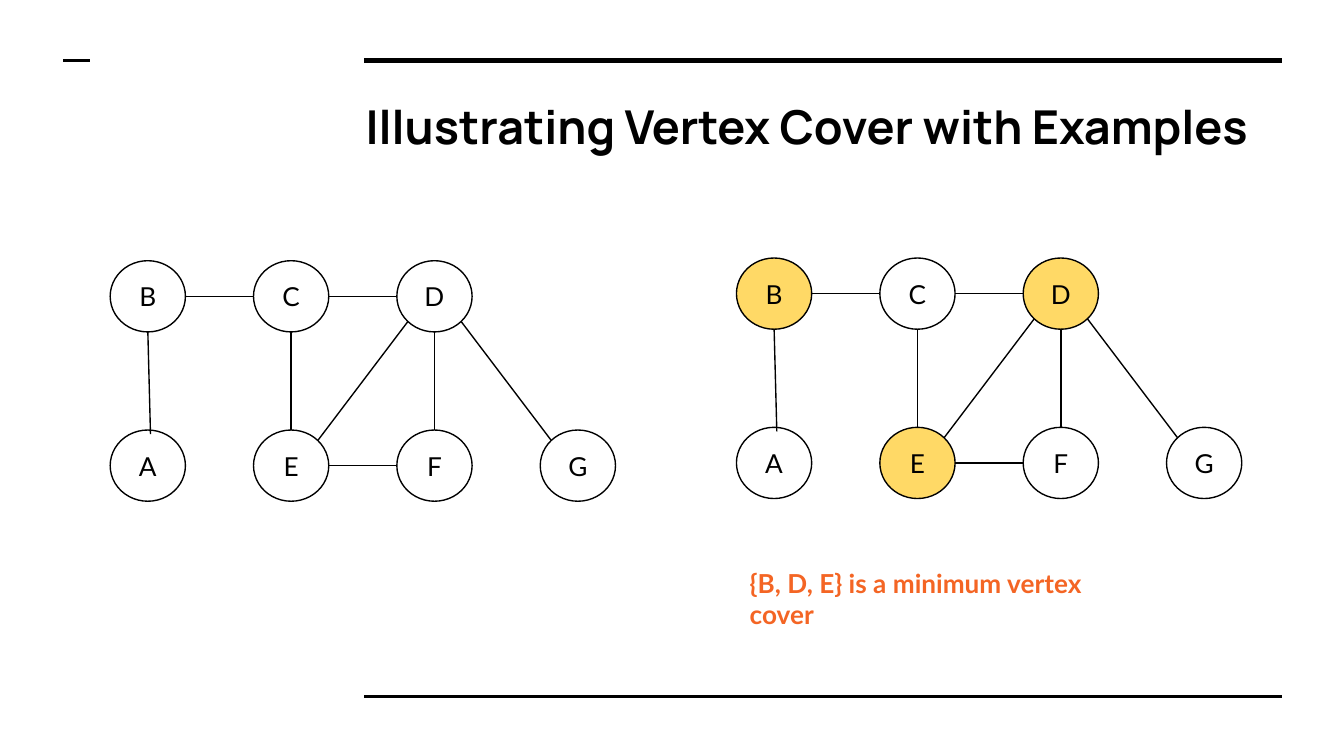
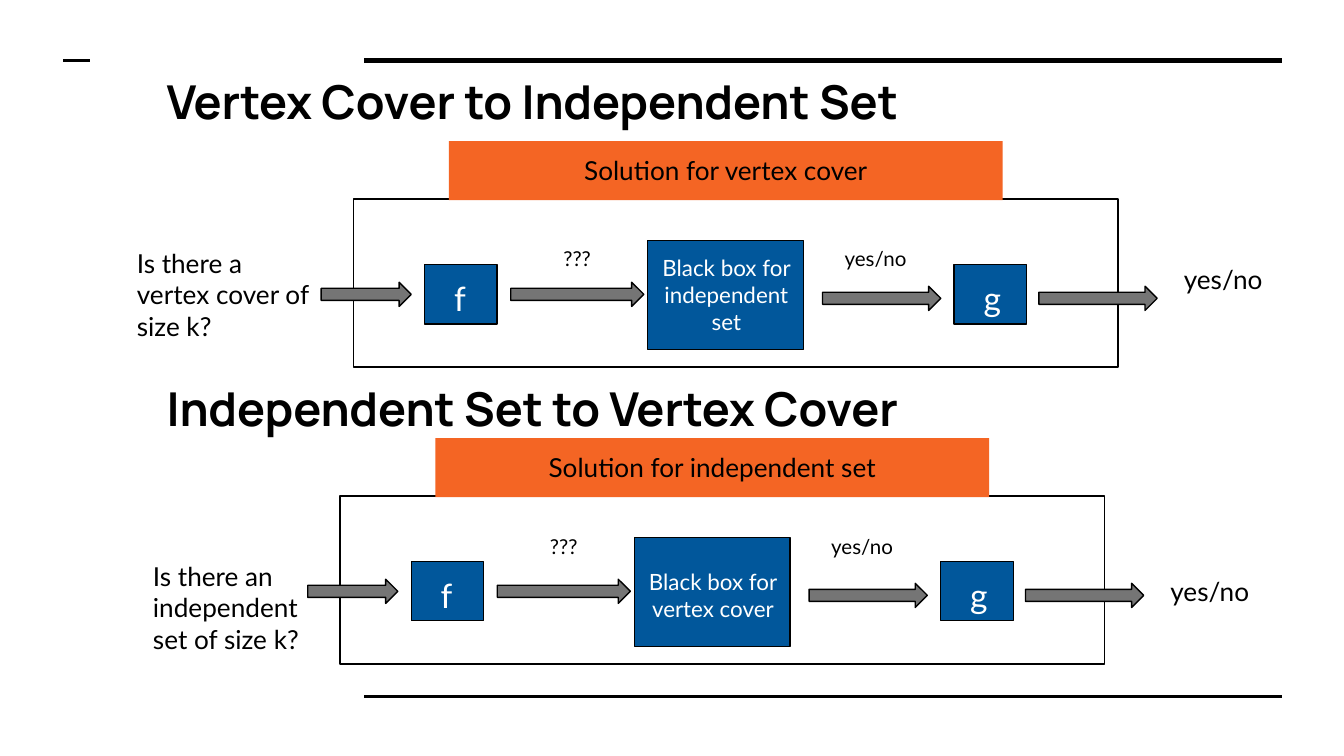
from lxml import etree
from pptx import Presentation
from pptx.dml.color import RGBColor
from pptx.enum.shapes import MSO_CONNECTOR, MSO_SHAPE
from pptx.enum.text import MSO_ANCHOR, MSO_AUTO_SIZE, PP_ALIGN
from pptx.oxml.ns import qn
from pptx.util import Inches, Pt

RECTANGLE = MSO_SHAPE.RECTANGLE
ELLIPSE = MSO_SHAPE.OVAL
ARROW = MSO_SHAPE.RIGHT_ARROW
STRAIGHT = MSO_CONNECTOR.STRAIGHT
LEFT, CENTER = PP_ALIGN.LEFT, PP_ALIGN.CENTER
TOP, MIDDLE = MSO_ANCHOR.TOP, MSO_ANCHOR.MIDDLE
FIXED, GROW = MSO_AUTO_SIZE.NONE, MSO_AUTO_SIZE.SHAPE_TO_FIT_TEXT

BLACK, WHITE = "000000", "FFFFFF"
ORANGE, YELLOW, BLUE, GRAY = "F46524", "FFD966", "01579B", "757575"
TITLE_FONT, BODY_FONT = "Manrope", "Lato"
TITLE_LAYOUT, CONTENT_LAYOUT = 5, 1

NODE_WIDTH, NODE_HEIGHT = 0.56, 0.53
COLUMN_STEP, ROW_STEP = 3.2 / 3, 1.26
NODES = {"B": (0, 0), "A": (0, 1), "C": (1, 0), "E": (1, 1),
         "D": (2, 0), "F": (2, 1), "G": (3, 1)}
EDGES = ["AB", "CD", "CE", "EF", "ED", "DG", "FD", "BC"]
START_NUDGES = {"AB": (0.02, 0.03)}


def color(value):
    return RGBColor.from_string(value)


def write(box, text, size, ink=BLACK, bold=False, align=LEFT, anchor=TOP,
          grow=True, font=BODY_FONT):
    frame = box.text_frame
    frame.word_wrap = True
    frame.auto_size = GROW if grow else FIXED
    frame.vertical_anchor = anchor
    frame.margin_left = frame.margin_right = Inches(0.1)
    frame.margin_top = frame.margin_bottom = Inches(0.1)
    frame.text = text
    para = frame.paragraphs[0]
    para.alignment = align
    para.space_before = Pt(0)
    for span in para.runs:
        span.font.name = font
        span.font.size = Pt(size)
        span.font.bold = bold
        span.font.color.rgb = color(ink)


def remove_bullet(para):
    properties = para._p.get_or_add_pPr()
    properties.set("marL", "0")
    properties.set("indent", "0")
    etree.SubElement(properties, qn("a:buNone"))


def place_heading(box, text, left, top, width):
    box.left, box.top = Inches(left), Inches(top)
    box.width, box.height = Inches(width), Inches(0.69)
    write(box, text, 25, bold=True, grow=False, font=TITLE_FONT)
    remove_bullet(box.text_frame.paragraphs[0])


def add_label(page, text, left, top, width, height, size, **style):
    box = page.shapes.add_textbox(Inches(left), Inches(top), Inches(width), Inches(height))
    write(box, text, size, **style)


def add_block(page, kind, left, top, width, height, fill=None, outlined=True):
    shape = page.shapes.add_shape(kind, Inches(left), Inches(top), Inches(width), Inches(height))
    shape.shadow.inherit = False
    if fill:
        shape.fill.solid()
        shape.fill.fore_color.rgb = color(fill)
    else:
        shape.fill.background()
    if outlined:
        shape.line.color.rgb = color(BLACK)
        shape.line.width = Pt(0.75)
    else:
        shape.line.fill.background()
    return shape


def add_line(page, start, end, weight=0.75):
    line = page.shapes.add_connector(STRAIGHT, *map(Inches, (*start, *end)))
    line.line.color.rgb = color(BLACK)
    line.line.width = Pt(weight)
    etree.SubElement(line._element.spPr, qn("a:effectLst"))


def add_page(deck, layout):
    page = deck.slides.add_slide(deck.slide_layouts[layout])
    add_line(page, (2.71, 0.45), (9.54, 0.45), 3)
    add_line(page, (2.71, 5.18), (9.54, 5.18), 1.5)
    add_line(page, (0.47, 0.45), (0.67, 0.45), 1.5)
    return page


def rim_point(name, toward, left, top):
    column, row = NODES[name]
    across = NODES[toward][0] - column
    down = NODES[toward][1] - row
    length = (across ** 2 + down ** 2) ** 0.5
    return (left + column * COLUMN_STEP + NODE_WIDTH / 2 * (1 + across / length),
            top + row * ROW_STEP + NODE_HEIGHT / 2 * (1 + down / length))


def add_graph(page, left, top, cover=""):
    for name, (column, row) in NODES.items():
        node = add_block(page, ELLIPSE, left + column * COLUMN_STEP, top + row * ROW_STEP,
                         NODE_WIDTH, NODE_HEIGHT, YELLOW if name in cover else WHITE)
        write(node, name, 14, align=CENTER, anchor=MIDDLE, grow=False)
    for edge in EDGES:
        first, second = edge
        x, y = rim_point(first, second, left, top)
        right, down = START_NUDGES.get(edge, (0, 0))
        add_line(page, (x + right, y + down), rim_point(second, first, left, top))


def add_reduction(page, left, top, solved, helper, helper_box, label_top, answer_top):
    add_block(page, RECTANGLE, left, top, 5.69, 1.25)
    for name, offset in (("f", 0.53), ("g", 4.47)):
        add_block(page, RECTANGLE, left + offset, top + 0.49, 0.54, 0.44, BLUE)
        add_label(page, name, left + offset + 0.12, top + 0.49, 0.31, 0.5, 18, ink=WHITE)
    add_block(page, RECTANGLE, left + 2.19, top + 0.31, 1.16, 0.81, BLUE)
    helper_top, helper_height = helper_box
    add_label(page, f"Black box for {helper}", left + 2.16, top + helper_top,
              1.23, helper_height, 12, ink=WHITE, align=CENTER)
    for offset, drop, width in ((-0.24, 0.62, 0.67), (1.17, 0.62, 0.99),
                                (3.49, 0.65, 0.88), (5.1, 0.65, 0.88)):
        add_block(page, ARROW, left + offset, top + drop, width, 0.18, GRAY)
    for text, offset in (("???", 1.05), ("yes/no", 3.27)):
        add_label(page, text, left + offset, top + label_top, 1.23, 0.39, 11, align=CENTER)
    add_label(page, "yes/no", left + 6.08, top + answer_top, 1.56, 0.44, 14)
    banner = add_block(page, RECTANGLE, left + 0.71, top - 0.43, 4.12, 0.44, ORANGE, False)
    write(banner, f"Solution for {solved}", 14, align=CENTER)


def build_examples(deck):
    page = add_page(deck, TITLE_LAYOUT)
    place_heading(page.shapes.title, "Illustrating Vertex Cover with Examples", 2.62, 0.63, 6.91)
    add_graph(page, 0.82, 1.94)
    add_graph(page, 5.48, 1.92, cover="BDE")
    add_label(page, "{B, D, E} is a minimum vertex cover", 5.48, 4.12, 3.05, 0.67, 14,
              ink=ORANGE, bold=True)


def build_reductions(deck):
    page = add_page(deck, CONTENT_LAYOUT)
    place_heading(page.shapes.title, "Vertex Cover to Independent Set", 1.14, 0.44, 8.52)
    place_heading(page.placeholders[1], "Independent Set to Vertex Cover", 1.14, 2.73, 8.52)
    add_label(page, "Is there a vertex cover of size k?", 0.92, 1.74, 1.56, 0.91, 14)
    add_reduction(page, 2.63, 1.48, "vertex cover", "independent set", (0.31, 0.81), 0.26, 0.38)
    add_label(page, "Is there an independent set of size k?", 1.04, 4.07, 1.56, 0.91, 14)
    add_reduction(page, 2.53, 3.69, "independent set", "vertex cover", (0.44, 0.61), 0.19, 0.49)


def main():
    deck = Presentation()
    deck.slide_width, deck.slide_height = Inches(10), Inches(5.625)
    build_examples(deck)
    build_reductions(deck)
    deck.save("out.pptx")


if __name__ == "__main__":
    main()
